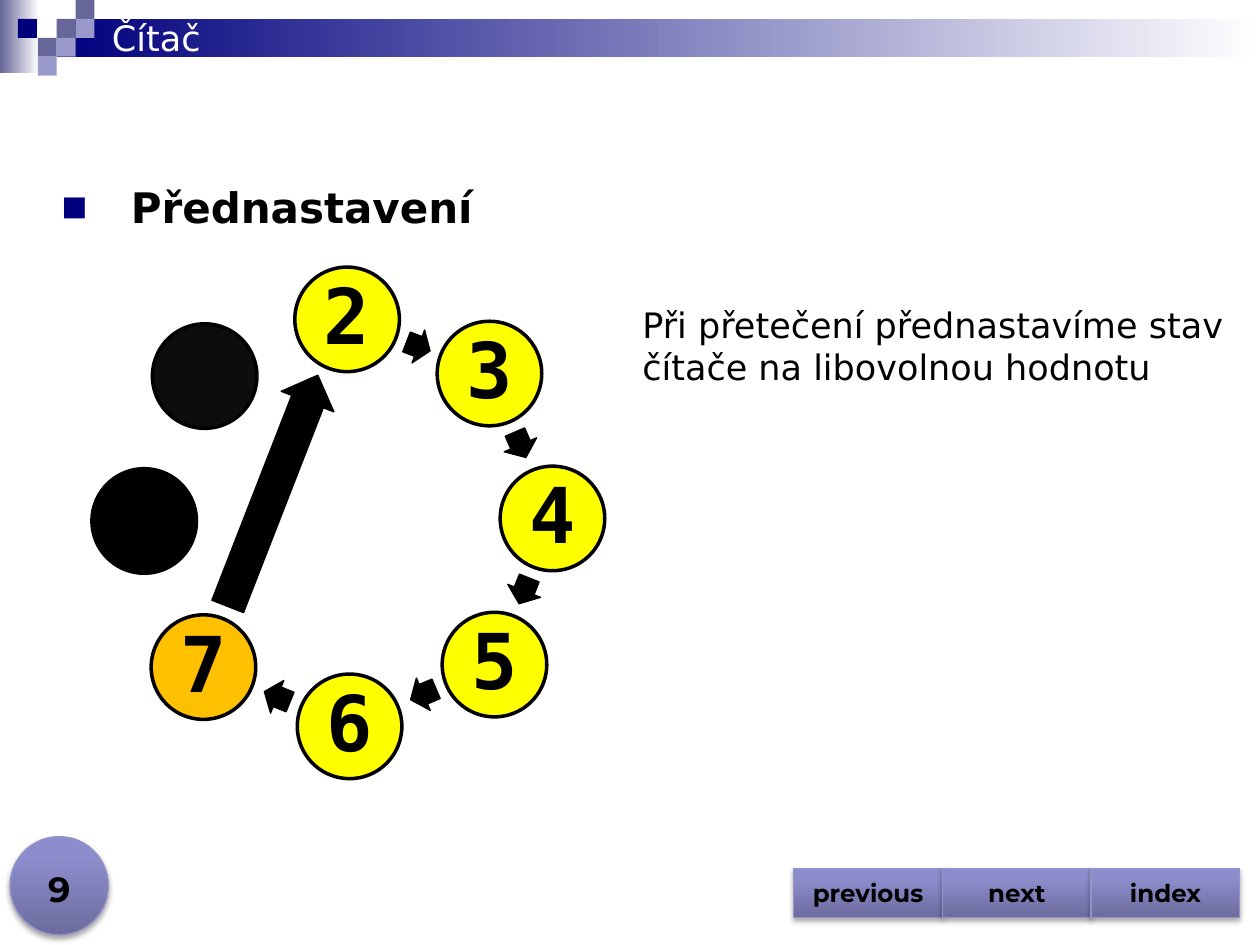
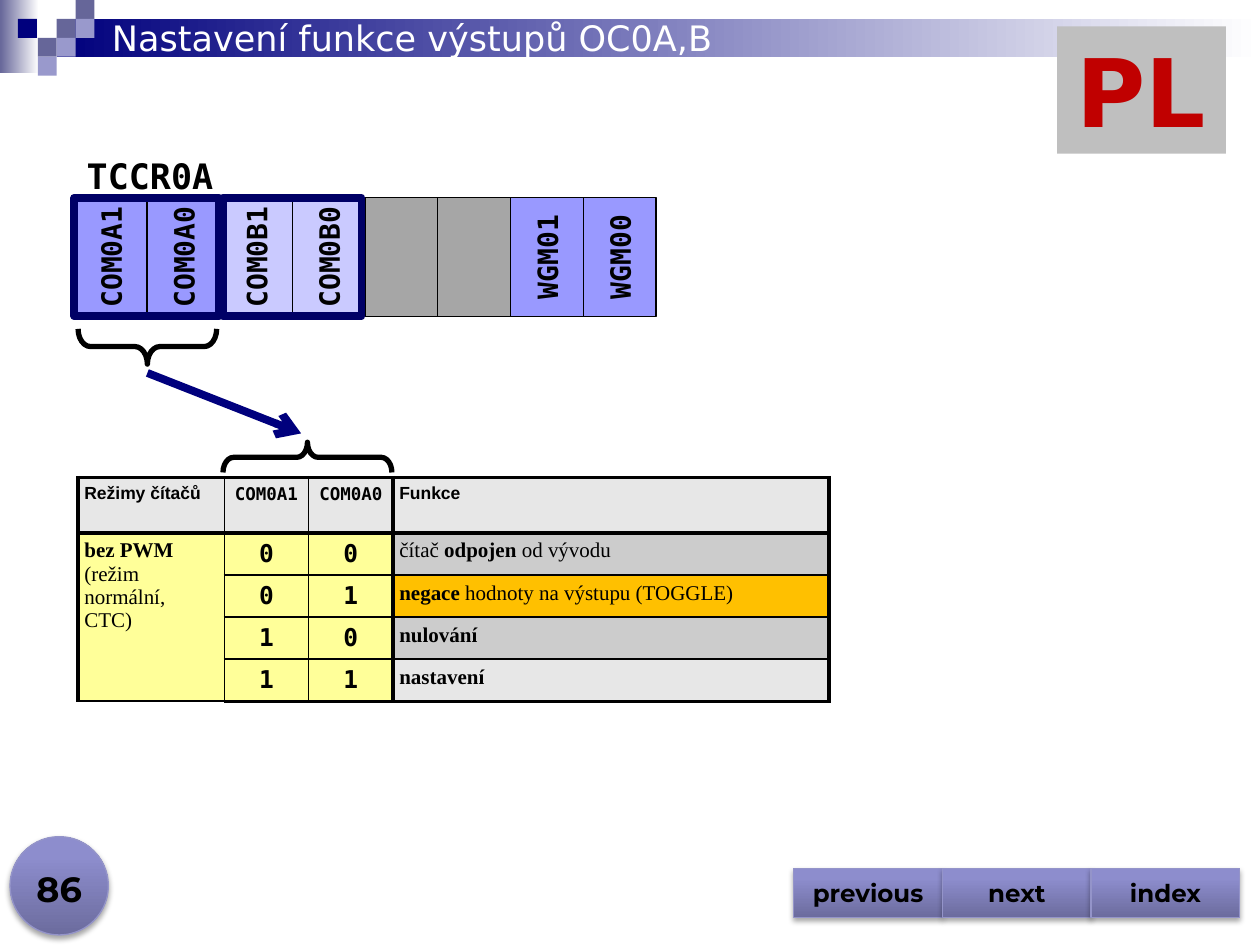
from lxml import etree
from pptx import Presentation
from pptx.dml.color import RGBColor
from pptx.enum.shapes import MSO_CONNECTOR, MSO_SHAPE
from pptx.enum.text import MSO_ANCHOR, PP_ALIGN
from pptx.oxml import parse_xml
from pptx.oxml.ns import qn
from pptx.util import Inches, Pt

RECT, OVAL = MSO_SHAPE.RECTANGLE, MSO_SHAPE.OVAL
ARROW, BRACE = MSO_SHAPE.RIGHT_ARROW, MSO_SHAPE.LEFT_BRACE
BUTTON = MSO_SHAPE.ACTION_BUTTON_CUSTOM
STRAIGHT = MSO_CONNECTOR.STRAIGHT
LEFT, CENTER = PP_ALIGN.LEFT, PP_ALIGN.CENTER
TOP, MIDDLE, BOTTOM = MSO_ANCHOR.TOP, MSO_ANCHOR.MIDDLE, MSO_ANCHOR.BOTTOM
SANS, MONO, MONT = "DejaVu Sans", "DejaVu Sans Mono", "Montserrat"
ARIAL, TIMES = "Arial", "Times New Roman"
NS = 'xmlns:a="http://schemas.openxmlformats.org/drawingml/2006/main"'

HEX = {
    "black": "000000", "white": "FFFFFF", "navy": "00007D", "frame": "000066",
    "slate": "666699", "lilac": "9999CC", "edge": "9494C9",
    "low": "6C6C9E", "mid": "8D8DCD", "high": "8C8CCF",
    "yellow": "FFFF00", "orange": "FFC000", "coal": "0D0D0D",
    "bit": "9999FF", "pale": "CACAFF", "unused": "A6A6A6",
    "head": "E7E7E7", "cream": "FFFF99", "grey": "CCCCCC",
    "tag": "BFBFBF", "red": "C00000",
}
GLOSS = [(0, "low"), (80, "mid"), (100, "high")]


def rgb(name):
    return RGBColor.from_string(HEX[name])


def blend(shape, stops, angle):
    """Fill a shape with a linear gradient."""
    shape.fill.background()
    marks = "".join(f'<a:gs pos="{pos * 1000}"><a:srgbClr val="{HEX[name]}"/></a:gs>'
                    for pos, name in stops)
    grad = parse_xml(f'<a:gradFill {NS} rotWithShape="1"><a:gsLst>{marks}</a:gsLst>'
                     f'<a:lin ang="{angle * 60000}" scaled="0"/></a:gradFill>')
    props = shape._element.spPr
    props.replace(props.find(qn("a:noFill")), grad)


def draw(slide, kind, x, y, w, h, fill=None, line=None, width=0.75, turn=0):
    shape = slide.shapes.add_shape(kind, Inches(x), Inches(y), Inches(w), Inches(h))
    shape.shadow.inherit = False
    shape.rotation = turn
    if fill:
        shape.fill.solid()
        shape.fill.fore_color.rgb = rgb(fill)
    else:
        shape.fill.background()
    if line:
        shape.line.color.rgb = rgb(line)
        shape.line.width = Pt(width)
    else:
        shape.line.fill.background()
    return shape


def add_run(para, text, size, face, bold=False, color="black"):
    run = para.add_run()
    run.text = text
    font = run.font
    font.size, font.name, font.bold = Pt(size), face, bold
    font.color.rgb = rgb(color)


def write(frame, text, size, face, bold=False, color="black", align=LEFT,
          anchor=TOP, wrap=True):
    frame.word_wrap = wrap
    frame.vertical_anchor = anchor
    para = frame.paragraphs[0]
    para.alignment = align
    add_run(para, text, size, face, bold, color)
    return para


def label(slide, x, y, w, h, *words, **style):
    box = slide.shapes.add_textbox(Inches(x), Inches(y), Inches(w), Inches(h))
    return write(box.text_frame, *words, **style)


def gloss(slide, kind, x, y, w, h):
    """Shiny violet shape with a soft shadow."""
    shape = draw(slide, kind, x, y, w, h, line="edge")
    blend(shape, GLOSS, 270)
    shape._element.spPr.find(qn("a:effectLst")).append(parse_xml(
        f'<a:outerShdw {NS} blurRad="40000" dist="23000" dir="5400000" rotWithShape="0">'
        f'<a:srgbClr val="{HEX["black"]}"><a:alpha val="35000"/></a:srgbClr></a:outerShdw>'))
    return shape


# Shared parts
def header(slide, x, y, title):
    blend(draw(slide, RECT, x, y, 0.31, 0.58), [(0, "slate"), (100, "white")], 0)
    blend(draw(slide, RECT, x + 0.45, y + 0.15, 9.55, 0.3),
          [(0, "navy"), (100, "white")], 0)
    unit = 0.15
    tiles = [(3, 1, "slate"), (4, 0, "slate"), (4, 1, "lilac"), (2, 2, "slate"),
             (0.95, 1, "navy"), (3, 2, "lilac"), (2, 3, "lilac")]
    for col, row, fill in tiles:
        draw(slide, RECT, x + col * unit, y + row * unit, unit, unit, fill)
    label(slide, x + 0.79, y + 0.08, 8.5, 0.44, title, 20, SANS,
          color="white", anchor=MIDDLE)


def footer(slide, x, y, page):
    gloss(slide, OVAL, x + 0.08, y, 0.78, 0.78)
    label(slide, x, y + 0.13, 0.94, 0.5, page, 20, MONT, bold=True,
          align=CENTER, anchor=BOTTOM)
    for i, name in enumerate(["previous", "next", "index"]):
        key = gloss(slide, BUTTON, x + 6.3 + i * 1.18, y + 0.25, 1.18, 0.39)
        write(key.text_frame, name, 14, MONT, bold=True, align=CENTER,
              anchor=MIDDLE, wrap=False)


def start(deck, title, page):
    slide = deck.slides.add_slide(deck.slide_layouts[6])
    header(slide, 0, 0, title)
    footer(slide, 0, 6.64, page)
    return slide


# Slide: counter preset
def bullet(slide, x, y, text):
    para = label(slide, x, y, 9.61, 0.5, text, 24, SANS, bold=True)
    props = para._p.get_or_add_pPr()
    props.set("marL", str(Inches(0.55)))
    props.set("indent", str(-Inches(0.55)))
    color = etree.SubElement(props, qn("a:buClr"))
    etree.SubElement(color, qn("a:srgbClr"), val=HEX["navy"])
    etree.SubElement(props, qn("a:buSzPct"), val="65000")
    etree.SubElement(props, qn("a:buFont"), typeface=SANS)
    etree.SubElement(props, qn("a:buChar"), char="■")


def ring(slide, x, y):
    states = [("2", 1.61, 0, "yellow"), ("3", 2.74, 0.43, "yellow"),
              ("4", 3.24, 1.58, "yellow"), ("5", 2.78, 2.74, "yellow"),
              ("6", 1.63, 3.23, "yellow"), ("7", 0.47, 2.76, "orange"),
              ("", 0, 1.6, "black"), ("", 0.48, 0.45, "coal")]
    for digit, dx, dy, fill in states:
        disc = draw(slide, OVAL, x + dx, y + dy, 0.83, 0.83, fill, "black", 2)
        if digit:
            frame = disc.text_frame
            frame.margin_left = frame.margin_right = Inches(0.06)
            frame.margin_top = frame.margin_bottom = Inches(0.06)
            para = write(frame, digit, 44, MONO, bold=True, align=CENTER, anchor=MIDDLE)
            para.line_spacing = 0.9
    steps = [(2.49, 0.49, 0.2, 0.28, 20.9), (3.29, 1.27, 0.22, 0.28, 66.6),
             (3.32, 2.43, 0.22, 0.28, 111.7), (2.52, 3.25, 0.22, 0.28, 156.8),
             (1.36, 3.27, 0.22, 0.28, 202.1), (0.45, 1.55, 1.97, 0.45, 291.3)]
    for dx, dy, w, h, turn in steps:
        arrow = draw(slide, ARROW, x + dx, y + dy, w, h, "black", "black", turn=turn)
        arrow.adjustments[0] = 0.6


def preset(deck):
    slide = start(deck, "Čítač", "9")
    bullet(slide, 0.39, 1.39, "Přednastavení")
    ring(slide, 0.73, 2.12)
    label(slide, 5, 2.36, 5, 0.77,
          "Při přetečení přednastavíme stav čítače na libovolnou hodnotu", 20, SANS)


# Slide: output modes
def bits(slide, x, y):
    cells = [("COM0A1", "bit"), ("COM0A0", "bit"), ("COM0B1", "pale"),
             ("COM0B0", "pale"), ("", "unused"), ("", "unused"),
             ("WGM01", "bit"), ("WGM00", "bit")]
    step, high = 0.577, 0.94
    for i, (name, fill) in enumerate(cells):
        cell = draw(slide, RECT, x + i * step, y, step, high, fill, "black")
        if name:
            write(cell.text_frame, name, 16, MONO, bold=True, align=CENTER,
                  anchor=MIDDLE, wrap=False)
            cell.text_frame._txBody.bodyPr.set("vert", "vert270")
    label(slide, x, y - 0.39, 2.03, 0.44, "TCCR0A", 20, MONO, bold=True)
    for dx, w in [(0, 1.15), (1.18, 1.1)]:
        draw(slide, RECT, x + dx, y, w, high, line="frame", width=4.5)


def link(slide, x, y):
    for dx, dy, w, h, turn in [(0.44, 0, 0.28, 1.1, 270), (1.73, 0.76, 0.24, 1.34, 90)]:
        brace = draw(slide, BRACE, x + dx, y + dy, w, h, line="black", width=3, turn=turn)
        brace.adjustments[0] = 0.352
    line = slide.shapes.add_connector(STRAIGHT, Inches(x + 0.58), Inches(y + 0.76),
                                      Inches(x + 1.8), Inches(y + 1.24))
    line.line.color.rgb = rgb("navy")
    line.line.width = Pt(4.5)
    etree.SubElement(line.line._get_or_add_ln(), qn("a:tailEnd"), type="arrow")
    etree.SubElement(line._element.spPr, qn("a:effectLst"))


def border(cell, widths):
    props = cell._tc.get_or_add_tcPr()
    for side, width in zip("LRTB", widths):
        props.append(parse_xml(
            f'<a:ln{side} {NS} w="{Pt(width)}"><a:solidFill>'
            f'<a:srgbClr val="{HEX["black"]}"/></a:solidFill></a:ln{side}>'))


def modes(slide, x, y):
    # Each cell is a list of (text, bold) runs
    rows = [[[(name, True)] for name in ("Režimy čítačů", "COM0A1", "COM0A0", "Funkce")]]
    uses = [[("čítač ", False), ("odpojen", True), (" od vývodu", False)],
            [("negace", True), (" hodnoty na výstupu (TOGGLE)", False)],
            [("nulování", True)], [("nastavení", True)]]
    for i, use in enumerate(uses):
        rows.append([[], [(str(i // 2), True)], [(str(i % 2), True)], use])
    rows[1][0] = [("bez PWM", True), (" (režim normální, CTC)", False)]
    fills = ["head", "grey", "orange", "grey", "head"]
    wide, tall = [1.16, 0.67, 0.67, 3.46], [0.44] + [0.33] * 4
    table = slide.shapes.add_table(5, 4, Inches(x), Inches(y), Inches(sum(wide)),
                                   Inches(sum(tall))).table
    table.first_row = table.horz_banding = False
    for col, w in zip(table.columns, wide):
        col.width = Inches(w)
    for row, h in zip(table.rows, tall):
        row.height = Inches(h)
    table.cell(1, 0).merge(table.cell(4, 0))
    thick, thin = 2.25, 1
    for r, row in enumerate(rows):
        for c, runs in enumerate(row):
            cell = table.cell(r, c)
            border(cell, [thick if c in (0, 3) else thin, thick if c in (2, 3) else thin,
                          thick if r in (0, 1) else thin, thick if r in (0, 4) else thin])
            cell.fill.solid()
            cell.fill.fore_color.rgb = rgb(fills[r] if r == 0 or c == 3 else "cream")
            cell.margin_left = cell.margin_right = Inches(0.05)
            cell.margin_top = cell.margin_bottom = Inches(0.05)
            code = c in (1, 2)
            para = cell.text_frame.paragraphs[0]
            para.alignment = CENTER if code else LEFT
            face = MONO if code else TIMES if r else ARIAL
            size = 10 if r == 0 else 14 if code else 12
            for text, bold in runs:
                add_run(para, text, size, face, bold)


def output(deck):
    slide = start(deck, "Nastavení funkce výstupů OC0A,B", "86")
    bits(slide, 0.59, 1.57)
    modes(slide, 0.62, 3.79)
    link(slide, 0.59, 2.2)
    tag = draw(slide, RECT, 8.39, 0.21, 1.34, 1.01, "tag")
    write(tag.text_frame, "PL", 54, SANS, bold=True, color="red", align=CENTER, wrap=False)


def main():
    deck = Presentation()
    deck.slide_width, deck.slide_height = Inches(10), Inches(7.5)
    preset(deck)
    output(deck)
    deck.save("out.pptx")


if __name__ == "__main__":
    main()
